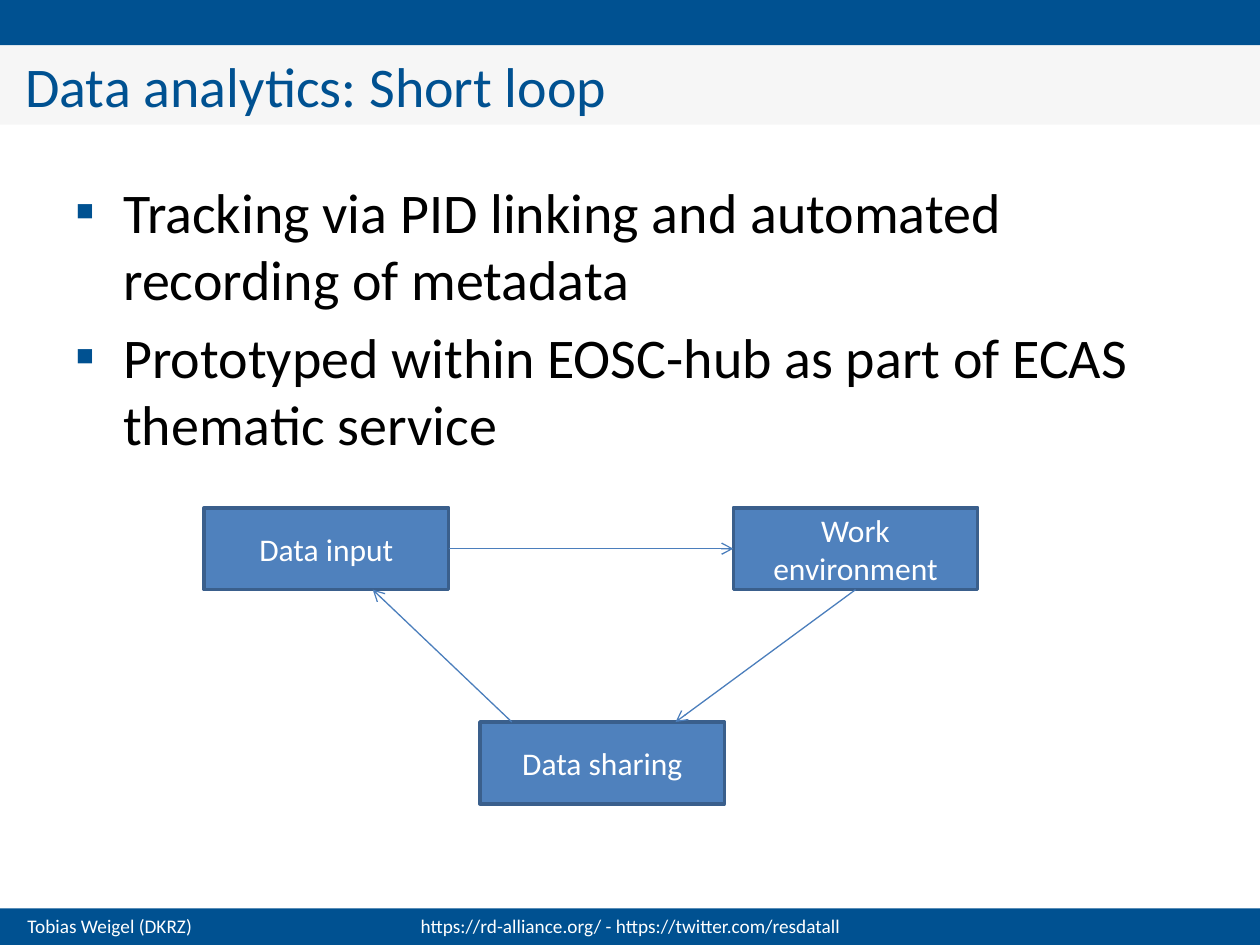
from dataclasses import dataclass

from lxml.etree import SubElement
from pptx import Presentation
from pptx.dml.color import RGBColor
from pptx.enum.shapes import MSO_CONNECTOR, MSO_SHAPE
from pptx.enum.text import MSO_ANCHOR, MSO_AUTO_SIZE, PP_ALIGN
from pptx.oxml.ns import qn
from pptx.shapes.autoshape import Shape
from pptx.shapes.connector import Connector
from pptx.slide import Slide
from pptx.text.text import _Paragraph
from pptx.util import Inches, Pt


@dataclass(frozen=True)
class Theme:
    font: str = "Calibri"
    brand: str = "005191"
    title_band: str = "F6F6F6"
    black: str = "000000"
    white: str = "FFFFFF"
    node_fill: str = "4F81BD"
    node_line: str = "3A5F8C"
    arrow: str = "4B7EBC"
    heading_size: int = 32
    node_size: int = 18
    footer_size: int = 11


@dataclass(frozen=True)
class Area:
    left: float
    top: float
    width: float
    height: float

    def lengths(self) -> list[int]:
        return [Inches(value) for value in (self.left, self.top, self.width, self.height)]


@dataclass(frozen=True)
class Node:
    label: str
    left: float
    top: float

    def area(self) -> Area:
        return Area(self.left, self.top, NODE_WIDTH, NODE_HEIGHT)

    def point(self, across: float, down: float) -> tuple[float, float]:
        return self.left + across * NODE_WIDTH, self.top + down * NODE_HEIGHT


@dataclass(frozen=True)
class Arrow:
    start: tuple[float, float]
    end: tuple[float, float]


THEME = Theme()
SLIDE_WIDTH, SLIDE_HEIGHT = 10, 7.5
HEADER_HEIGHT, FOOTER_HEIGHT = 0.36, 0.29
FOOTER_TOP = SLIDE_HEIGHT - FOOTER_HEIGHT
NODE_WIDTH, NODE_HEIGHT = 1.94, 0.65
DATA_INPUT = Node("Data input", 1.62, 4.03)
WORK_ENVIRONMENT = Node("Work environment", 5.82, 4.03)
DATA_SHARING = Node("Data sharing", 3.81, 5.73)
NODES = [DATA_INPUT, WORK_ENVIRONMENT, DATA_SHARING]
ARROWS = [
    Arrow(DATA_INPUT.point(1, 0.5), WORK_ENVIRONMENT.point(0, 0.5)),
    Arrow(WORK_ENVIRONMENT.point(0.5, 1), DATA_SHARING.point(0.8, 0)),
    Arrow(DATA_SHARING.point(0.13, 0), DATA_INPUT.point(0.69, 1)),
]
BULLETS = [
    "Tracking via PID linking and automated recording of metadata",
    "Prototyped within EOSC-hub as part of ECAS thematic service",
]


def style(paragraph: _Paragraph, size: int, color: str, align: PP_ALIGN = PP_ALIGN.LEFT) -> None:
    paragraph.alignment = align
    paragraph.font.name = THEME.font
    paragraph.font.size = Pt(size)
    paragraph.font.color.rgb = RGBColor.from_string(color)


def add_rectangle(page: Slide, area: Area, fill: str) -> Shape:
    box = page.shapes.add_shape(MSO_SHAPE.RECTANGLE, *area.lengths())
    box.shadow.inherit = False
    box.fill.solid()
    box.fill.fore_color.rgb = RGBColor.from_string(fill)
    box.line.fill.background()
    return box


def add_title(page: Slide, text: str) -> None:
    title = page.shapes.title
    area = Area(0, HEADER_HEIGHT, SLIDE_WIDTH, 0.63)
    title.left, title.top, title.width, title.height = area.lengths()
    title.fill.solid()
    title.fill.fore_color.rgb = RGBColor.from_string(THEME.title_band)
    frame = title.text_frame
    frame.text = text
    frame.auto_size = MSO_AUTO_SIZE.NONE
    frame.vertical_anchor = MSO_ANCHOR.TOP
    frame.margin_left = frame.margin_right = Inches(0.2)
    style(frame.paragraphs[0], THEME.heading_size, THEME.brand)


def add_bullets(page: Slide, area: Area, lines: list[str]) -> None:
    frame = page.shapes.add_textbox(*area.lengths()).text_frame
    frame.word_wrap = True
    frame.vertical_anchor = MSO_ANCHOR.MIDDLE
    frame.text = "\n".join(lines)
    for index, paragraph in enumerate(frame.paragraphs):
        if index:
            paragraph.space_before = Pt(6)
        properties = paragraph._p.get_or_add_pPr()
        properties.set("marL", str(Inches(0.38)))
        properties.set("indent", str(-Inches(0.38)))
        bullet_color = SubElement(properties, qn("a:buClr"))
        SubElement(bullet_color, qn("a:srgbClr"), val=THEME.brand)
        SubElement(properties, qn("a:buFont"), typeface=THEME.font)
        SubElement(properties, qn("a:buChar"), char="▪")
        style(paragraph, THEME.heading_size, THEME.black)


def add_footer(page: Slide, area: Area, text: str, align: PP_ALIGN) -> None:
    frame = page.shapes.add_textbox(*area.lengths()).text_frame
    frame.word_wrap = True
    frame.text = text
    style(frame.paragraphs[0], THEME.footer_size, THEME.white, align)


def add_node(page: Slide, node: Node) -> None:
    box = add_rectangle(page, node.area(), THEME.node_fill)
    box.line.color.rgb = RGBColor.from_string(THEME.node_line)
    box.line.width = Pt(2)
    frame = box.text_frame
    frame.word_wrap = True
    frame.vertical_anchor = MSO_ANCHOR.MIDDLE
    frame.text = node.label
    style(frame.paragraphs[0], THEME.node_size, THEME.white, PP_ALIGN.CENTER)


def add_arrow(page: Slide, arrow: Arrow) -> Connector:
    ends = [Inches(value) for value in (*arrow.start, *arrow.end)]
    connector = page.shapes.add_connector(MSO_CONNECTOR.STRAIGHT, *ends)
    connector.line.color.rgb = RGBColor.from_string(THEME.arrow)
    connector.line.width = Pt(0.75)
    SubElement(connector.line._get_or_add_ln(), qn("a:tailEnd"), type="arrow")
    SubElement(connector._element.spPr, qn("a:effectLst"))
    return connector


def main() -> None:
    deck = Presentation()
    deck.slide_width, deck.slide_height = Inches(SLIDE_WIDTH), Inches(SLIDE_HEIGHT)
    page = deck.slides.add_slide(deck.slide_layouts[5])
    add_rectangle(page, Area(0, 0, SLIDE_WIDTH, HEADER_HEIGHT), THEME.brand)
    add_rectangle(page, Area(0, FOOTER_TOP, SLIDE_WIDTH, FOOTER_HEIGHT), THEME.brand)
    add_title(page, "Data analytics: Short loop")
    add_bullets(page, Area(0.5, 1.31, 9, 2.41), BULLETS)
    add_footer(page, Area(0.12, FOOTER_TOP, 2.6, FOOTER_HEIGHT), "Tobias Weigel (DKRZ)", PP_ALIGN.LEFT)
    add_footer(
        page,
        Area(2.17, FOOTER_TOP, 5.67, FOOTER_HEIGHT),
        "https://rd-alliance.org/ - https://twitter.com/resdatall",
        PP_ALIGN.CENTER,
    )
    for node in NODES:
        add_node(page, node)
    for arrow in ARROWS:
        add_arrow(page, arrow)
    deck.save("out.pptx")


if __name__ == "__main__":
    main()
